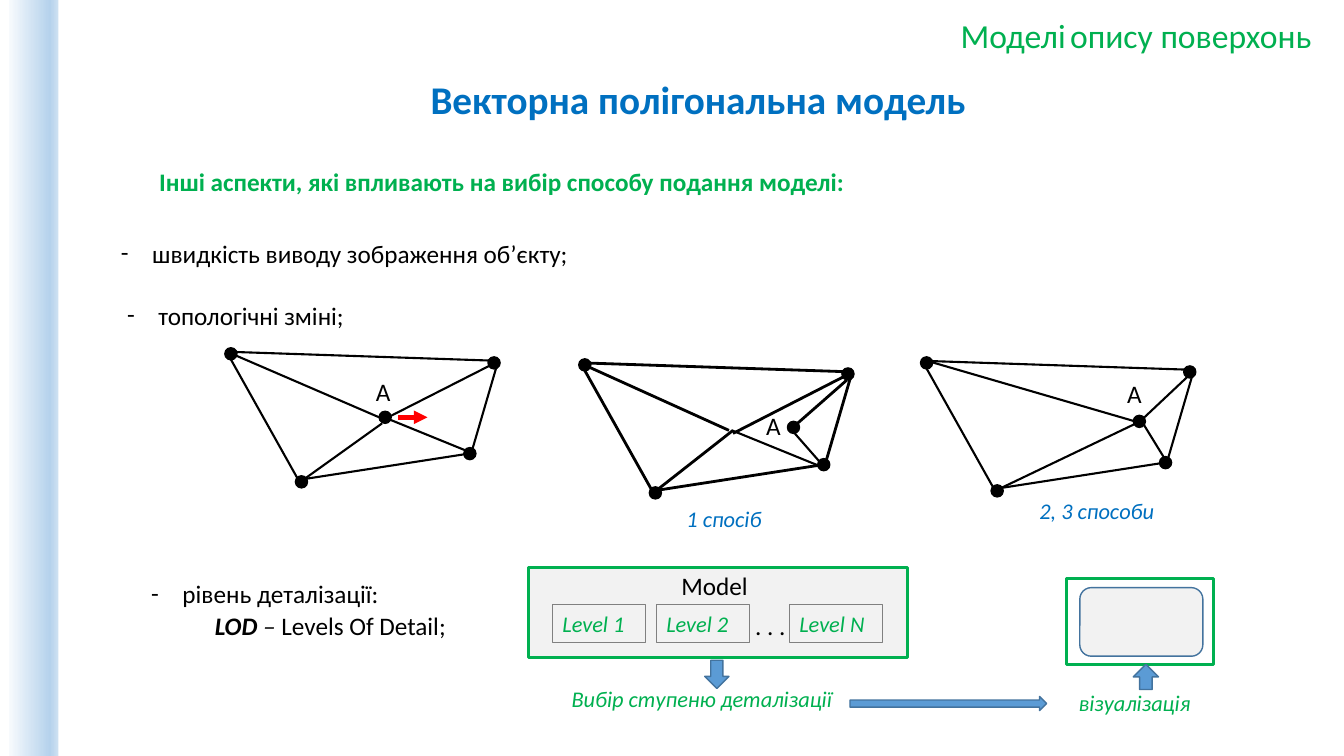
from copy import deepcopy
from typing import NamedTuple

from lxml import etree
from pptx import Presentation
from pptx import util as u
from pptx.dml.color import RGBColor
from pptx.enum import shapes, text
from pptx.oxml.ns import qn
from pptx.slide import Slide

GREEN = RGBColor(0x00, 0xB0, 0x50)
BLUE = RGBColor(0x00, 0x70, 0xC0)
BLACK = RGBColor(0x00, 0x00, 0x00)
WHITE = RGBColor(0xFF, 0xFF, 0xFF)
RED = RGBColor(0xFF, 0x00, 0x00)
PANEL = RGBColor(0xF2, 0xF2, 0xF2)
GREY = RGBColor(0x80, 0x80, 0x80)
ARROW_FILL = RGBColor(0x5B, 0x9B, 0xD5)
ARROW_LINE = RGBColor(0x43, 0x73, 0x9E)
BAND_STOPS = (
    (0, RGBColor(0xF7, 0xFA, 0xFD)),
    (0.83, RGBColor(0xB5, 0xD2, 0xEC)),
    (1, RGBColor(0xCE, 0xE1, 0xF2)),
)
FONT = "Calibri"
SHAPE = shapes.MSO_SHAPE
DOT = 0.12


class Area(NamedTuple):
    left: float
    top: float
    width: float
    height: float


class Style(NamedTuple):
    size: float = 18
    color: RGBColor = BLACK
    bold: bool = False
    italic: bool = False


class Edge(NamedTuple):
    x1: float
    y1: float
    x2: float
    y2: float


class Label(NamedTuple):
    words: str
    area: Area
    style: Style
    wrap: bool = True


class Block(NamedTuple):
    kind: SHAPE
    area: Area
    fill: RGBColor | None
    line: RGBColor
    weight: float
    words: str = ""


class Mesh(NamedTuple):
    """A quadrilateral with inner edges around the movable vertex A."""
    left: float
    top: float
    weight: float
    vertex: tuple[float, float]
    letter: tuple[float, float]
    inner: tuple[Edge, ...]
    thin: tuple[Edge, ...] = ()


# Outer edges and corners, relative to the top left of a mesh
RIM = (Edge(0, 0, 2.68, 0.09), Edge(0, 0.04, 0.7, 1.29),
       Edge(0.7, 1.27, 2.38, 1.01), Edge(2.66, 0.13, 2.4, 1.02))
CORNERS = ((0.02, 0.02), (2.63, 0.11), (0.72, 1.29), (2.39, 1.01))

MESHES = (
    Mesh(2.27, 3.49, 1.5, (3.82, 4.14), (3.63, 3.68), (
        Edge(2.3, 3.51, 3.76, 4.14), Edge(2.98, 4.78, 3.79, 4.2),
        Edge(4.95, 3.58, 3.81, 4.16), Edge(4.67, 4.49, 3.81, 4.14))),
    Mesh(5.78, 3.6, 2, (7.87, 4.24), (7.5, 4.02), (
        Edge(5.75, 3.6, 7.23, 4.27), Edge(6.48, 4.89, 7.27, 4.27),
        Edge(8.46, 3.69, 7.27, 4.3), Edge(8.4, 3.77, 7.83, 4.27)),
        (Edge(8.12, 4.62, 7.26, 4.27), Edge(8.19, 4.65, 7.83, 4.24))),
    Mesh(9.17, 3.58, 1.5, (11.3, 4.18), (11.08, 3.7), (
        Edge(9.23, 3.59, 11.29, 4.19), Edge(9.87, 4.87, 11.29, 4.19),
        Edge(11.85, 3.67, 11.34, 4.15), Edge(11.57, 4.58, 11.33, 4.19))),
)

NOTE = Style(16, GREEN, italic=True)
CAPTION = Style(16, BLUE, italic=True)
LABELS = (
    Label("Інші аспекти, які впливають на вибір способу подання моделі:",
          Area(1.48, 1.6, 7.94, 0.4), Style(18, GREEN, bold=True)),
    Label("1 спосіб", Area(6.71, 4.96, 2.39, 0.37), CAPTION),
    Label("2, 3 способи", Area(10.21, 4.88, 2.39, 0.37), CAPTION),
    Label("Model", Area(6.66, 5.61, 1.67, 0.4), Style()),
    Label(". . .", Area(7.39, 6.01, 0.8, 0.4), Style()),
    Label("Вибір ступеню деталізації", Area(5.57, 6.75, 3.32, 0.37), NOTE),
    Label("візуалізація", Area(10.6, 6.79, 1.6, 0.37), NOTE),
)
BLOCKS = (
    Block(SHAPE.RECTANGLE, Area(5.24, 5.63, 3.76, 0.89), PANEL, GREEN, 2.25),
    *(Block(SHAPE.RECTANGLE, Area(left, 6, 0.92, 0.37), None, GREY, 0.75, f"Level {level}")
      for left, level in ((5.48, "1"), (6.51, "2"), (7.83, "N"))),
    Block(SHAPE.RECTANGLE, Area(10.58, 5.74, 1.46, 0.85), WHITE, GREEN, 2.25),
    Block(SHAPE.ROUNDED_RECTANGLE, Area(10.71, 5.83, 1.22, 0.68), PANEL, ARROW_LINE, 1),
    *(Block(kind, area, ARROW_FILL, ARROW_LINE, 1) for kind, area in (
        (SHAPE.DOWN_ARROW, Area(6.99, 6.55, 0.24, 0.28)),
        (SHAPE.RIGHT_ARROW, Area(8.43, 6.91, 1.95, 0.14)),
        (SHAPE.UP_ARROW, Area(11.24, 6.59, 0.25, 0.25)))),
)


def inches(area: Area) -> list[u.Length]:
    return [u.Inches(value) for value in area]


def format_span(span, style: Style) -> None:
    font = span.font
    font.name, font.size = FONT, u.Pt(style.size)
    font.bold, font.italic = style.bold, style.italic
    font.color.rgb = style.color


def write(frame, words: str, style: Style, wrap: bool = True) -> None:
    frame.text = words
    frame.word_wrap = wrap
    frame.auto_size = text.MSO_AUTO_SIZE.NONE
    frame.vertical_anchor = text.MSO_ANCHOR.TOP
    for para in frame.paragraphs:
        para.alignment = text.PP_ALIGN.LEFT
        for span in para.runs:
            format_span(span, style)


def add_label(page: Slide, label: Label):
    box = page.shapes.add_textbox(*inches(label.area))
    write(box.text_frame, label.words, label.style, label.wrap)
    return box


def add_block(page: Slide, block: Block) -> None:
    shape = page.shapes.add_shape(block.kind, *inches(block.area))
    shape.shadow.inherit = False
    if block.fill is None:
        shape.fill.background()
    else:
        shape.fill.solid()
        shape.fill.fore_color.rgb = block.fill
    shape.line.color.rgb = block.line
    shape.line.width = u.Pt(block.weight)
    if block.words:
        write(shape.text_frame, block.words, NOTE)


def add_edge(page: Slide, edge: Edge, weight: float, color: RGBColor = BLACK):
    line = page.shapes.add_connector(shapes.MSO_CONNECTOR.STRAIGHT,
                                     *(u.Inches(value) for value in edge))
    line.line.color.rgb = color
    line.line.width = u.Pt(weight)
    etree.SubElement(line._element.spPr, qn("a:effectLst"))
    return line


def add_mesh(page: Slide, mesh: Mesh) -> None:
    for edge in RIM:
        add_edge(page, Edge(mesh.left + edge.x1, mesh.top + edge.y1,
                            mesh.left + edge.x2, mesh.top + edge.y2), mesh.weight)
    for edge in mesh.inner:
        add_edge(page, edge, mesh.weight)
    for edge in mesh.thin:
        add_edge(page, edge, 1.5)
    corners = [(mesh.left + x, mesh.top + y) for x, y in CORNERS]
    for x, y in (*corners, mesh.vertex):
        area = Area(x - DOT / 2, y - DOT / 2, DOT, DOT)
        add_block(page, Block(SHAPE.OVAL, area, BLACK, BLACK, 1))
    add_label(page, Label("А", Area(*mesh.letter, 0.64, 0.4), Style()))


def add_band(page: Slide) -> None:
    band = page.shapes.add_shape(SHAPE.RECTANGLE, *inches(Area(0.09, 0, 0.49, 7.5)))
    band.shadow.inherit = False
    band.line.fill.background()
    band.fill.gradient()
    band.fill.gradient_angle = 0
    stops = band._element.spPr.find(".//" + qn("a:gsLst"))
    stops.append(deepcopy(stops[-1]))
    for stop, (position, color) in zip(band.fill.gradient_stops, BAND_STOPS):
        stop.position = position
        stop.color.rgb = color


def place(holder, area: Area) -> None:
    holder.left, holder.top, holder.width, holder.height = inches(area)


def indent_para(para, margin: float, dash: bool = True, before: float = 0) -> None:
    para.line_spacing = 1.5 if dash else 1.0
    para.space_before = u.Pt(before)
    props = para._p.get_or_add_pPr()
    props.set("marL", str(u.Inches(margin)))
    props.set("indent", str(u.Inches(-0.31 if dash else 0)))
    if dash:
        etree.SubElement(props, qn("a:buFont"), typeface=FONT)
        etree.SubElement(props, qn("a:buChar"), char="-")
    else:
        etree.SubElement(props, qn("a:buNone"))


def fill_placeholders(page: Slide) -> None:
    title, aspects, detail = page.placeholders
    place(title, Area(4.17, 0.7, 5.55, 0.57))
    write(title.text_frame, "Векторна полігональна модель", Style(28, BLUE, bold=True), False)

    place(aspects, Area(1.1, 2.16, 5.62, 1.14))
    write(aspects.text_frame, "швидкість виводу зображення об’єкту;\nтопологічні зміні;", Style())
    speed, topology = aspects.text_frame.paragraphs
    indent_para(speed, 0.31)
    indent_para(topology, 0.37, before=12)

    place(detail, Area(1.4, 5.54, 3.83, 0.88))
    write(detail.text_frame, "рівень деталізації:\nLOD", Style())
    level, lod = detail.text_frame.paragraphs
    indent_para(level, 0.31)
    indent_para(lod, 0.63, dash=False, before=1)
    format_span(lod.runs[0], Style(bold=True, italic=True))
    for words, style in ((" – ", Style(italic=True)), ("Levels Of Detail;", Style())):
        span = lod.add_run()
        span.text = words
        format_span(span, style)


def main() -> None:
    deck = Presentation()
    deck.slide_width, deck.slide_height = u.Inches(13.33), u.Inches(7.5)
    page = deck.slides.add_slide(deck.slide_layouts.get_by_name("Two Content"))
    fill_placeholders(page)
    add_band(page)
    header = add_label(page, Label("Моделі", Area(9.43, 0.1, 3.69, 0.5), Style(24, GREEN), False))
    for words, size in ((" ", 14), ("опису поверхонь", 24)):
        span = header.text_frame.paragraphs[0].add_run()
        span.text = words
        format_span(span, Style(size, GREEN))
    for mesh in MESHES:
        add_mesh(page, mesh)
    shift = add_edge(page, Edge(3.95, 4.14, 4.24, 4.14), 3.25, RED)
    etree.SubElement(shift._element.spPr.find(qn("a:ln")), qn("a:tailEnd"), type="triangle")
    for block in BLOCKS:
        add_block(page, block)
    for label in LABELS:
        add_label(page, label)
    deck.save("out.pptx")


if __name__ == "__main__":
    main()
